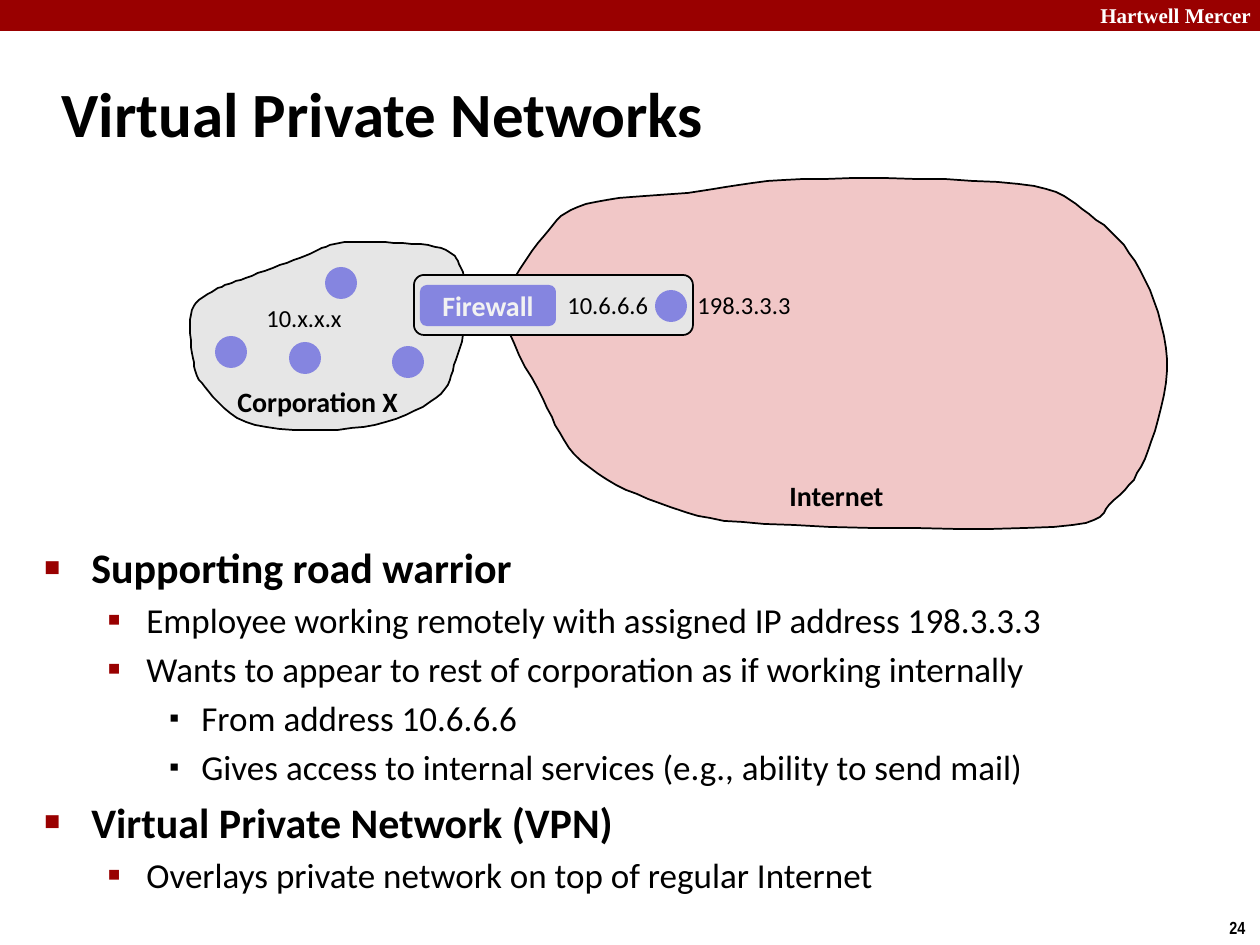
from typing import NamedTuple

from lxml import etree
from pptx import Presentation
from pptx.dml.color import RGBColor
from pptx.enum.shapes import MSO_SHAPE
from pptx.enum.text import MSO_ANCHOR, MSO_AUTO_SIZE, PP_ALIGN
from pptx.oxml.ns import qn
from pptx.util import Pt

RECTANGLE, ROUNDED, OVAL = MSO_SHAPE.RECTANGLE, MSO_SHAPE.ROUNDED_RECTANGLE, MSO_SHAPE.OVAL
MIDDLE, NO_AUTOFIT = MSO_ANCHOR.MIDDLE, MSO_AUTO_SIZE.NONE
LEFT, CENTER = PP_ALIGN.LEFT, PP_ALIGN.CENTER

SLIDE_WIDTH, SLIDE_HEIGHT = 1260, 945
SCALE = 914400 / 126
BLACK, WHITE, RED = "000000", "FFFFFF", "990000"
GRAY, PINK, VIOLET = "E6E6E6", "F1C7C7", "8585E0"

HOST_SIZE = 32
CORPORATION_HOSTS = [(215, 336), (289, 342), (325, 267), (392, 346)]
GATEWAY_HOST = (655, 290)
CURVE_STEPS = 8


class Region(NamedTuple):
    """A cloud-like area: its fill and the few points its curve passes, by side."""
    fill: str
    top: list
    right: list
    bottom: list
    left: list


CORPORATION = Region(
    GRAY,
    top=[(246, 278), (300, 258), (335, 244), (378, 242), (441, 248)],
    right=[(461, 268), (467, 310), (456, 360), (436, 398)],
    bottom=[(364, 427), (255, 425)],
    left=[(205, 387), (193, 358), (192, 310), (215, 290)],
)
INTERNET = Region(
    PINK,
    top=[(586, 204), (688, 193), (804, 179), (1018, 184), (1089, 214)],
    right=[(1140, 270), (1167, 359), (1148, 451), (1114, 500)],
    bottom=[(1054, 527), (764, 524), (659, 503), (581, 461)],
    left=[(543, 399), (505, 310), (544, 236)],
)


class Level(NamedTuple):
    """The look of one outline level."""
    indent: int
    hanging: int
    size: int
    bold: bool
    bullet: str
    bullet_color: str
    bullet_percent: int


LEVELS = [
    Level(47, 47, 24, True, "■", RED, 40),
    Level(102, 39, 20, False, "▪", RED, 110),
    Level(157, 32, 20, False, "▪", BLACK, 80),
]
BODY = [
    (0, "Supporting road warrior"),
    (1, "Employee working remotely with assigned IP address 198.3.3.3"),
    (1, "Wants to appear to rest of corporation as if working internally"),
    (2, "From address 10.6.6.6"),
    (2, "Gives access to internal services (e.g., ability to send mail)"),
    (0, "Virtual Private Network (VPN)"),
    (1, "Overlays private network on top of regular Internet"),
]
REGION_NAMES = [
    ("Corporation X", (225, 378, 189, 47)),
    ("Internet", (777, 472, 121, 47)),
]
ADDRESSES = [
    ("10.x.x.x", (254, 297, 102, 43)),
    ("10.6.6.6", (555, 284, 107, 43)),
    ("198.3.3.3", (685, 284, 120, 43)),
]


def px(length):
    """Turn picture pixels into EMU."""
    return round(length * SCALE)


def color(value):
    """Turn a hex string into a colour."""
    return RGBColor.from_string(value)


def style_text(paragraph, size, bold=False, ink=BLACK, font="Calibri", align=LEFT):
    """Set the font and alignment of a paragraph."""
    paragraph.alignment = align
    paragraph.font.name = font
    paragraph.font.size = Pt(size)
    paragraph.font.bold = bold
    paragraph.font.color.rgb = color(ink)


def paint(shape, fill, outlined=False):
    """Give a shape a flat fill and an optional black outline."""
    shape.shadow.inherit = False
    shape.fill.solid()
    shape.fill.fore_color.rgb = color(fill)
    if outlined:
        shape.line.color.rgb = color(BLACK)
        shape.line.width = Pt(1)
    else:
        shape.line.fill.background()


def add_preset(slide, kind, box, fill, outlined=False):
    """Add a preset shape."""
    shape = slide.shapes.add_shape(kind, *map(px, box))
    paint(shape, fill, outlined)
    return shape


def blend(before, start, end, after, t):
    """Return a Catmull-Rom coordinate at share t of the way from start to end."""
    return start + t / 2 * (
        end - before
        + t * (2 * before - 5 * start + 4 * end - after)
        + t * t * (3 * (start - end) + after - before)
    )


def closed_curve(anchors):
    """Return points on a smooth closed curve through the anchors."""
    points = []
    count = len(anchors)
    for index in range(count):
        neighbours = [anchors[(index + offset) % count] for offset in (-1, 0, 1, 2)]
        for step in range(CURVE_STEPS):
            points.append([blend(*axis, step / CURVE_STEPS) for axis in zip(*neighbours)])
    return points


def add_region(slide, region):
    """Add an outlined area with a smooth border."""
    points = closed_curve(region.top + region.right + region.bottom + region.left)
    builder = slide.shapes.build_freeform(*points[0], scale=SCALE)
    builder.add_line_segments(points[1:], close=True)
    paint(builder.convert_to_shape(), region.fill, outlined=True)


def add_label(slide, text, box, size, wrap=False, **style):
    """Add a one-line text box."""
    frame = slide.shapes.add_textbox(*map(px, box)).text_frame
    frame.word_wrap = wrap
    frame.text = text
    style_text(frame.paragraphs[0], size, **style)


def add_bullet(paragraph, level):
    """Give a paragraph the bullet and hanging indent of its level."""
    properties = paragraph._p.get_or_add_pPr()
    properties.set("marL", str(px(level.indent)))
    properties.set("indent", str(-px(level.hanging)))
    tint = etree.SubElement(properties, qn("a:buClr"))
    etree.SubElement(tint, qn("a:srgbClr"), val=level.bullet_color)
    etree.SubElement(properties, qn("a:buSzPct"), val=str(level.bullet_percent * 1000))
    etree.SubElement(properties, qn("a:buFont"), typeface="Calibri")
    etree.SubElement(properties, qn("a:buChar"), char=level.bullet)


def add_body(slide):
    """Add the bulleted text."""
    frame = slide.shapes.add_textbox(*map(px, (32, 535, 1197, 347))).text_frame
    frame.word_wrap = True
    for number, (depth, text) in enumerate(BODY):
        level = LEVELS[depth]
        paragraph = frame.add_paragraph() if number else frame.paragraphs[0]
        paragraph.text = text
        paragraph.level = depth
        paragraph.space_before = Pt(level.size * 0.2)
        add_bullet(paragraph, level)
        style_text(paragraph, level.size, level.bold)


def set_title(slide, text):
    """Place and format the title placeholder."""
    title = slide.shapes.title
    title.left, title.top, title.width, title.height = map(px, (49, 60, 1046, 105))
    frame = title.text_frame
    frame.text = text
    frame.auto_size = NO_AUTOFIT
    frame.vertical_anchor = MIDDLE
    style_text(frame.paragraphs[0], 36, bold=True)


def add_firewall(slide):
    """Add the gateway box with the firewall inside."""
    add_preset(slide, ROUNDED, (414, 275, 279, 60), GRAY, outlined=True)
    frame = add_preset(slide, ROUNDED, (420, 285, 136, 41), VIOLET).text_frame
    frame.text = "Firewall"
    frame.vertical_anchor = MIDDLE
    style_text(frame.paragraphs[0], 16, bold=True, ink="F2F2F2", align=CENTER)


def add_network(slide):
    """Draw both regions, the firewall between them, the hosts and the labels."""
    for region in (CORPORATION, INTERNET):
        add_region(slide, region)
    add_firewall(slide)
    for corner in CORPORATION_HOSTS + [GATEWAY_HOST]:
        add_preset(slide, OVAL, (*corner, HOST_SIZE, HOST_SIZE), VIOLET)
    for text, box in REGION_NAMES:
        add_label(slide, text, box, 16, bold=True)
    for text, box in ADDRESSES:
        add_label(slide, text, box, 14)


def add_page_marks(slide):
    """Add the top band with its name, and the page number."""
    add_preset(slide, RECTANGLE, (0, 0, SLIDE_WIDTH, 31), RED)
    add_label(slide, "Hartwell Mercer", (1088, -4, 180, 38), 12, wrap=True,
              bold=True, ink=WHITE, font="Times New Roman")
    add_label(slide, "24", (1217, 911, 43, 34), 10, bold=True, font="Arial Narrow")


def main():
    """Build and save the slide."""
    presentation = Presentation()
    presentation.slide_width, presentation.slide_height = px(SLIDE_WIDTH), px(SLIDE_HEIGHT)
    slide = presentation.slides.add_slide(presentation.slide_layouts[5])
    add_page_marks(slide)
    set_title(slide, "Virtual Private Networks")
    add_body(slide)
    add_network(slide)
    presentation.save("out.pptx")


main()
